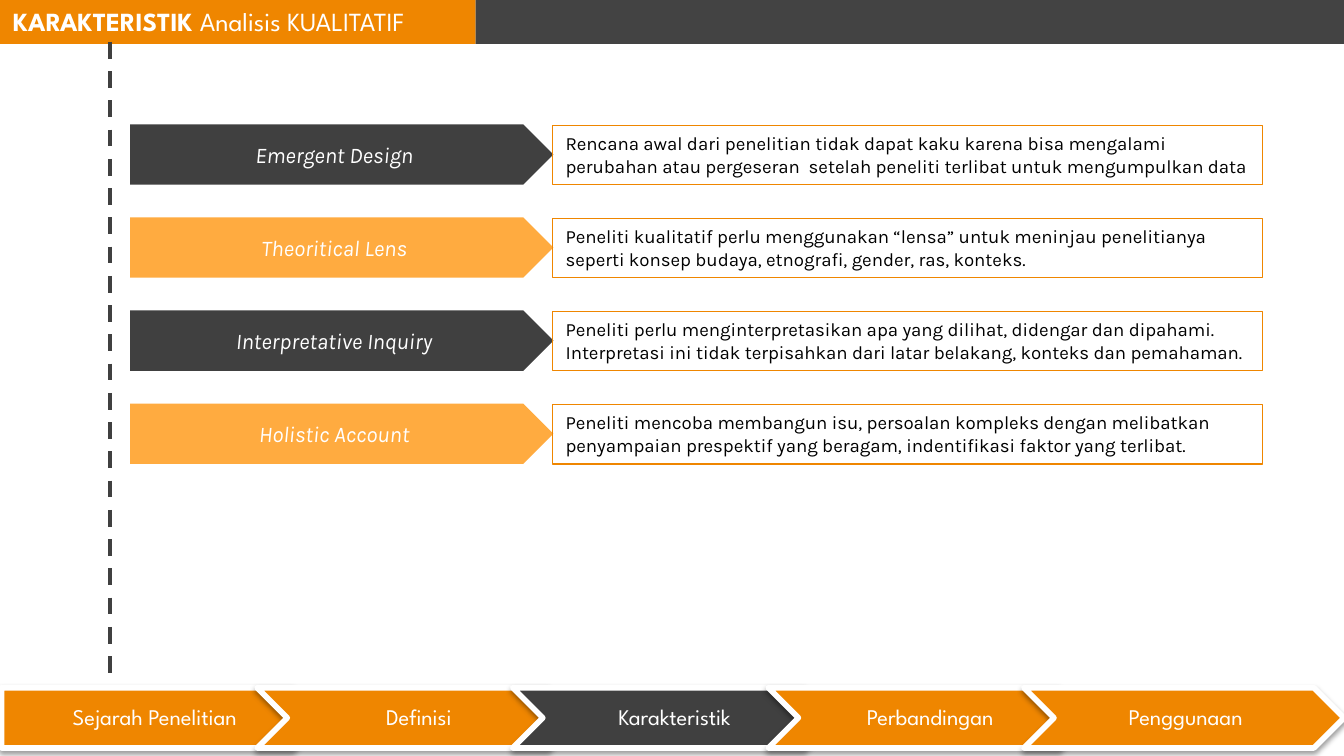
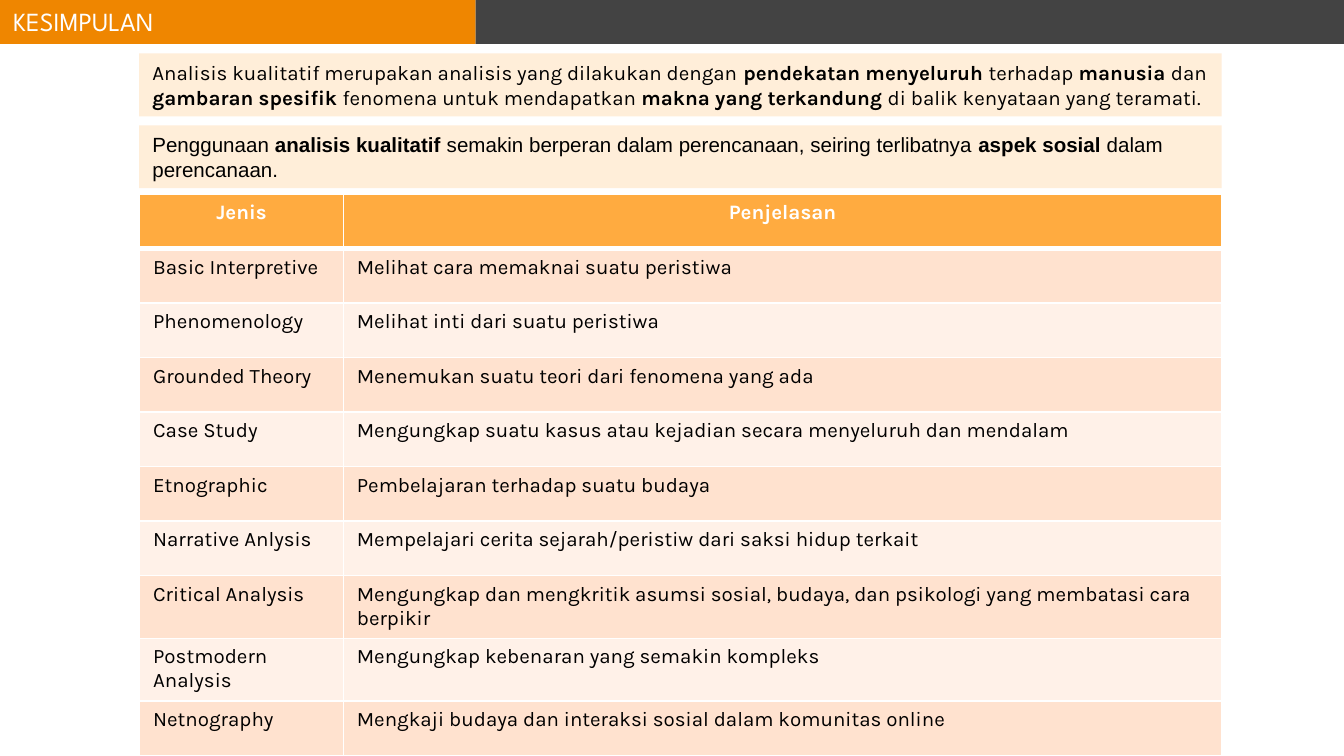
from lxml.etree import SubElement
from pptx import Presentation
from pptx.dml.color import RGBColor
from pptx.enum.dml import MSO_LINE
from pptx.enum.shapes import MSO_CONNECTOR, MSO_SHAPE
from pptx.enum.text import MSO_ANCHOR, MSO_AUTO_SIZE, PP_ALIGN
from pptx.oxml.ns import qn
from pptx.util import Cm, Pt

# Shared look
ORANGE, AMBER, CREAM = "EF8600", "FFAB40", "FFEED9"
CHARCOAL, BAND_GREY = "404040", "434343"
BLACK, WHITE = "000000", "FFFFFF"
ROW_FILLS = ("FFE2CF", "FFF1E8")
TITLE_FONT, BODY_FONT = "League Spartan", "Karla"
SLIDE_WIDTH, SLIDE_HEIGHT = 25.4, 14.29
TITLE_WIDTH = 8.99

# Content
TRAITS = [
    ("Emergent Design",
     "Rencana awal dari penelitian tidak dapat kaku karena bisa mengalami "
     "perubahan atau pergeseran  setelah peneliti terlibat untuk mengumpulkan data"),
    ("Theoritical Lens",
     "Peneliti kualitatif perlu menggunakan “lensa” untuk meninjau penelitianya "
     "seperti konsep budaya, etnografi, gender, ras, konteks."),
    ("Interpretative Inquiry",
     "Peneliti perlu menginterpretasikan apa yang dilihat, didengar dan dipahami. "
     "Interpretasi ini tidak terpisahkan dari latar belakang, konteks dan pemahaman."),
    ("Holistic Account",
     "Peneliti mencoba membangun isu, persoalan kompleks dengan melibatkan "
     "penyampaian prespektif yang beragam, indentifikasi faktor yang terlibat."),
]
CHAPTERS = ["Sejarah Penelitian ", "Definisi", "Karakteristik", "Perbandingan", "Penggunaan"]
CONCLUSIONS = [
    (BODY_FONT, [
        ("Analisis kualitatif merupakan analisis yang dilakukan dengan ", False),
        ("pendekatan menyeluruh ", True), ("terhadap ", False),
        ("manusia ", True), ("dan ", False),
        ("gambaran spesifik ", True), ("fenomena untuk mendapatkan ", False),
        ("makna yang terkandung ", True), ("di balik kenyataan yang teramati.", False)]),
    ("Arial", [
        ("Penggunaan ", False), ("analisis kualitatif ", True),
        ("semakin berperan dalam perencanaan, seiring terlibatnya ", False),
        ("aspek sosial ", True), ("dalam perencanaan.", False)]),
]
METHODS = [
    ("Jenis", "Penjelasan"),
    ("Basic Interpretive", "Melihat cara memaknai suatu peristiwa"),
    ("Phenomenology", "Melihat inti dari suatu peristiwa"),
    ("Grounded Theory", "Menemukan suatu teori dari fenomena yang ada"),
    ("Case Study", "Mengungkap suatu kasus atau kejadian secara menyeluruh dan mendalam"),
    ("Etnographic", "Pembelajaran terhadap suatu budaya"),
    ("Narrative Anlysis", "Mempelajari cerita sejarah/peristiw dari saksi hidup terkait"),
    ("Critical Analysis",
     "Mengungkap dan mengkritik asumsi sosial, budaya, dan psikologi yang membatasi cara berpikir"),
    ("Postmodern Analysis", "Mengungkap kebenaran yang semakin kompleks"),
    ("Netnography", "Mengkaji budaya dan interaksi sosial dalam komunitas online"),
]


def rgb(code):
    return RGBColor.from_string(code)


# Text and shapes
def write(frame, runs, font, size, color, align=PP_ALIGN.LEFT, italic=False):
    """Fill the first paragraph with (text, bold) runs."""
    paragraph = frame.paragraphs[0]
    paragraph.alignment = align
    for text, bold in runs:
        run = paragraph.add_run()
        run.text = text
        run.font.name, run.font.size = font, Pt(size)
        run.font.bold, run.font.italic = bold, italic
        run.font.color.rgb = rgb(color)
    return paragraph


def add_block(shapes, kind, left, top, width, height, fill=None, line=None, weight=0.75):
    shape = shapes.add_shape(kind, Cm(left), Cm(top), Cm(width), Cm(height))
    shape.shadow.inherit = False
    if fill:
        shape.fill.solid()
        shape.fill.fore_color.rgb = rgb(fill)
    else:
        shape.fill.background()
    if line:
        shape.line.color.rgb = rgb(line)
        shape.line.width = Pt(weight)
    else:
        shape.line.fill.background()
    return shape


def add_text_panel(slide, box, runs, font, size, color=BLACK, fill=None, line=None):
    """A rectangle that grows with its text."""
    shape = add_block(slide.shapes, MSO_SHAPE.RECTANGLE, *box, fill=fill, line=line)
    frame = shape.text_frame
    frame.word_wrap = True
    frame.auto_size = MSO_AUTO_SIZE.SHAPE_TO_FIT_TEXT
    frame.vertical_anchor = MSO_ANCHOR.TOP
    write(frame, runs, font, size, color)


def add_title_band(slide, runs):
    add_text_panel(slide, (0, -0.03, TITLE_WIDTH, 0.86), runs, TITLE_FONT, 14, WHITE, fill=ORANGE)
    add_block(slide.shapes, MSO_SHAPE.RECTANGLE, TITLE_WIDTH, 0,
              SLIDE_WIDTH - TITLE_WIDTH, 0.83, fill=BAND_GREY)


def add_dashed_line(slide, x, top, bottom):
    connector = slide.shapes.add_connector(MSO_CONNECTOR.STRAIGHT, Cm(x), Cm(top), Cm(x), Cm(bottom))
    connector.line.color.rgb = rgb(CHARCOAL)
    connector.line.width = Pt(2.25)
    connector.line.dash_style = MSO_LINE.DASH
    SubElement(connector._element.spPr, qn("a:effectLst"))


def add_trait(slide, top, name, description, fill):
    plate = add_block(slide.shapes, MSO_SHAPE.PENTAGON, 2.46, top, 8, 1.14, fill=fill)
    plate.text_frame.word_wrap = True
    plate.text_frame.vertical_anchor = MSO_ANCHOR.MIDDLE
    write(plate.text_frame, [(name, False)], BODY_FONT, 12, WHITE, PP_ALIGN.CENTER, italic=True)
    add_text_panel(slide, (10.44, top + 0.02, 13.42, 1.12), [(description, False)],
                   BODY_FONT, 10, line=ORANGE)


# Chapter bar
def add_soft_shadow(shape):
    effects = shape._element.spPr.find(qn("a:effectLst"))
    shadow = SubElement(effects, qn("a:outerShdw"), blurRad=str(Pt(3.1)), dist=str(Pt(1.6)),
                        dir="5400000", rotWithShape="0")
    color = SubElement(shadow, qn("a:srgbClr"), val=BLACK)
    SubElement(color, qn("a:alpha"), val="38000")


def add_chapter_bar(slide, current):
    top, height, pitch = 13, 1.14, 4.83
    shapes = slide.shapes.add_group_shape().shapes
    for index, chapter in enumerate(CHAPTERS):
        first = index == 0
        left = 0.03 + index * pitch
        arrow = add_block(shapes, MSO_SHAPE.PENTAGON if first else MSO_SHAPE.CHEVRON,
                          left, top, 6.05, height,
                          fill=CHARCOAL if chapter == current else ORANGE, line=WHITE, weight=3)
        add_soft_shadow(arrow)
        label_left, label_width = (left, 5.77) if first else (left + 0.57, 4.9)
        label = shapes.add_textbox(Cm(label_left), Cm(top), Cm(label_width), Cm(height))
        frame = label.text_frame
        frame.word_wrap = True
        frame.vertical_anchor = MSO_ANCHOR.MIDDLE
        frame.margin_left = Cm(0.18 if first else 0.13)
        frame.margin_right = Cm(0.05)
        frame.margin_top = frame.margin_bottom = Cm(0.1)
        paragraph = write(frame, [(chapter, False)], TITLE_FONT, 12, WHITE, PP_ALIGN.CENTER)
        paragraph.line_spacing = 0.9


# Table
def set_borders(cell, **weights):
    properties = cell._tc.get_or_add_tcPr()
    for side in "LRTB":
        line = SubElement(properties, qn(f"a:ln{side}"), w=str(Pt(weights.get(side, 1))))
        SubElement(SubElement(line, qn("a:solidFill")), qn("a:srgbClr"), val=WHITE)


def add_methods_table(slide):
    widths, row_height = (3.85, 16.6), 1.03
    table = slide.shapes.add_table(len(METHODS), len(widths), Cm(2.64), Cm(3.67),
                                   Cm(sum(widths)), Cm(row_height * len(METHODS))).table
    table.horz_banding = False
    for column, width in zip(table.columns, widths):
        column.width = Cm(width)
    for index, texts in enumerate(METHODS):
        table.rows[index].height = Cm(row_height)
        header = index == 0
        weights = {"B": 3} if header else {"T": 3} if index == 1 else {}
        for cell, text in zip(table.rows[index].cells, texts):
            set_borders(cell, **weights)
            cell.fill.solid()
            cell.fill.fore_color.rgb = rgb(AMBER if header else ROW_FILLS[(index - 1) % 2])
            write(cell.text_frame, [(text, header)], BODY_FONT, 11,
                  WHITE if header else BLACK,
                  PP_ALIGN.CENTER if header else PP_ALIGN.LEFT)


# Slides
def build_traits_slide(slide):
    add_title_band(slide, [("KARAKTERISTIK ", True), ("Analisis KUALITATIF", False)])
    add_dashed_line(slide, 2.08, 0.79, 13)
    for index, (name, description) in enumerate(TRAITS):
        add_trait(slide, 2.35 + index * 1.76, name, description, (CHARCOAL, AMBER)[index % 2])
    add_chapter_bar(slide, "Karakteristik")


def build_conclusion_slide(slide):
    add_title_band(slide, [("KESIMPULAN", False)])
    for index, (font, runs) in enumerate(CONCLUSIONS):
        add_text_panel(slide, (2.63, 1.01 + index * 1.36, 20.46, 1.19), runs, font, 11, fill=CREAM)
    add_methods_table(slide)


def main():
    presentation = Presentation()
    presentation.slide_width, presentation.slide_height = Cm(SLIDE_WIDTH), Cm(SLIDE_HEIGHT)
    blank = presentation.slide_layouts[6]
    for build in (build_traits_slide, build_conclusion_slide):
        build(presentation.slides.add_slide(blank))
    presentation.save("out.pptx")


if __name__ == "__main__":
    main()
